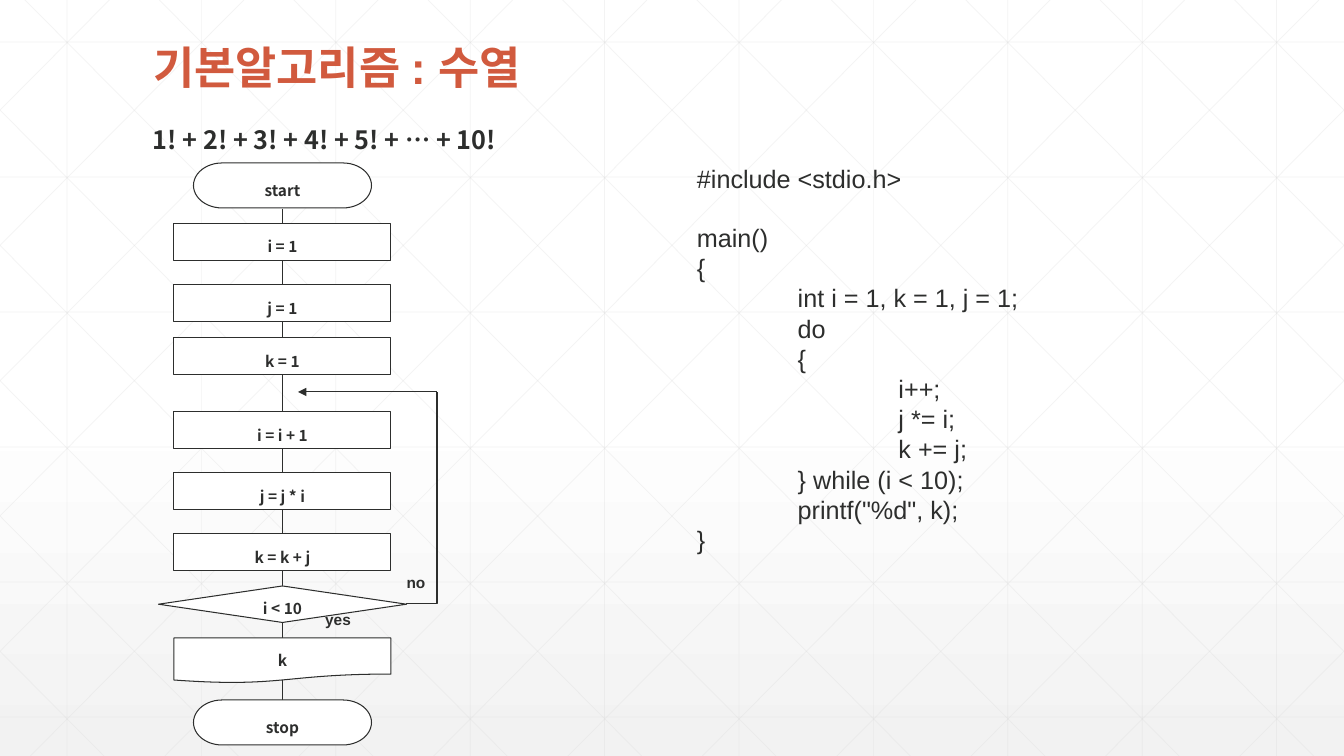
from pptx import Presentation
from pptx import util as u
from pptx.dml.color import RGBColor
from pptx.enum import shapes, text
from pptx.oxml.ns import qn
from lxml import etree

PX = 914400 / 100.8
W, H = 1344, 756
INK, GRID, ACCENT = "2D2E2D", "D9D9D9", "D15A3E"
SANS, KOREAN = "Arial", "Noto Sans CJK KR"
MSO = shapes.MSO_SHAPE
CENTER = text.PP_ALIGN.CENTER
MIDDLE = text.MSO_ANCHOR.MIDDLE


def px(*values):
    """Turn pixel lengths into EMU."""
    return [u.Emu(round(v * PX)) for v in values]


def rgb(code):
    """Turn a hex string into a colour."""
    return RGBColor.from_string(code)


def write(p, string, size=18, font=SANS, color=INK, bold=False, align=None,
          spacing=None, before=0, indent=0):
    """Put formatted text into a paragraph."""
    r = p.add_run()
    r.text = string
    r.font.size, r.font.name, r.font.bold = u.Pt(size), font, bold
    r.font.color.rgb = rgb(color)
    etree.SubElement(r._r.rPr, qn("a:ea"), typeface=KOREAN)
    p.alignment, p.line_spacing, p.space_before = align, spacing, u.Pt(before)
    p._p.get_or_add_pPr().set("marL", str(px(indent)[0]))


def connect(x1, y1, x2, y2, color=INK, width=0.75, alpha=None, arrow=False,
            kind=shapes.MSO_CONNECTOR.STRAIGHT):
    """Draw a connector without a shadow."""
    c = s.shapes.add_connector(kind, *px(x1, y1, x2, y2))
    c.line.color.rgb, c.line.width = rgb(color), u.Pt(width)
    ln = c.line._get_or_add_ln()
    if alpha:
        etree.SubElement(ln.find(".//" + qn("a:srgbClr")), qn("a:alpha"),
                         val=str(alpha * 1000))
    if arrow:
        etree.SubElement(ln, qn("a:tailEnd"), type="triangle")
    etree.SubElement(c._element.spPr, qn("a:effectLst"))
    return c


prs = Presentation()
prs.slide_width, prs.slide_height = px(W, H)
s = prs.slides.add_slide(prs.slide_layouts[5])

# Background
fill = s.background.fill
fill.gradient()
fill.gradient_angle = 270
for stop, (position, color) in zip(fill.gradient_stops,
                                   [(0.53, "FFFFFF"), (1, "F2F2F2")]):
    stop.position, stop.color.rgb = position, rgb(color)

faint = dict(color=GRID, width=0.5, alpha=30)
step, run = 134.4, 751
for i in range(10):
    connect(67 + i * step, 0, 67 + i * step, H, **faint)
for i in range(6):
    connect(0, 42 + i * 135, W, 42 + i * 135, **faint)
for i in range(-5, 10):
    x = 25 + i * step
    x1, x2 = max(x, 0), min(x + run, W)
    y1, y2 = [(v - x) * H / run for v in (x1, x2)]
    connect(x1, y1, x2, y2, **faint)
    connect(W - x1, y1, W - x2, y2, **faint)

# Title
title = s.shapes.title
s.shapes._spTree.append(title._element)
title.left, title.top, title.width, title.height = px(143, 39, 1058, 62)
tf = title.text_frame
tf.auto_size, tf.vertical_anchor = text.MSO_AUTO_SIZE.NONE, MIDDLE
write(tf.paragraphs[0], "기본알고리즘 : 수열", size=32, color=ACCENT, bold=True,
      align=text.PP_ALIGN.LEFT, spacing=0.9)

# Formula
tf = s.shapes.add_textbox(*px(143, 104, 1058, 56)).text_frame
tf.word_wrap = True
write(tf.paragraphs[0], "1! + 2! + 3! + 4! + 5! + … + 10!", font=KOREAN,
      bold=True, spacing=1.5, before=3.6)

# Program: indent level, line, space before
code = [(0, "#include <stdio.h>", 0), (0, "main()", 20.7), (0, "{", 0),
        (1, "int i = 1, k = 1, j = 1;", 0), (1, "do", 0), (1, "{", 0),
        (2, "i++;", 0), (2, "j *= i;", 0), (2, "k += j;", 0),
        (1, "} while (i < 10);", 0), (1, 'printf("%d", k);', 0), (0, "}", 0)]
tf = s.shapes.add_textbox(*px(687, 158, 672, 407)).text_frame
tf.word_wrap = True
for i, (level, line, before) in enumerate(code):
    p = tf.add_paragraph() if i else tf.paragraphs[0]
    write(p, line, before=before, indent=level * 100.8)

# Flowchart
axis = 282.5
connect(axis, 209, axis, 700)
terminator = (MSO.FLOWCHART_TERMINATOR, 178, 45)
process = (MSO.RECTANGLE, 217, 36.5)
decision = (MSO.DIAMOND, 248, 36.5)
document = (MSO.FLOWCHART_DOCUMENT, 217, 45)
steps = [("start", 163, terminator), ("i = 1", 224, process),
         ("j = 1", 285, process), ("k = 1", 338, process),
         ("i = i + 1", 412, process), ("j = j * i", 473, process),
         ("k = k + j", 534, process), ("i < 10", 586, decision),
         ("k", 638, document), ("stop", 700, terminator)]
for label, y, (kind, w, h) in steps:
    sp = s.shapes.add_shape(kind, *px(axis - w / 2, y, w, h))
    sp.shadow.inherit = False
    sp.fill.solid()
    sp.fill.fore_color.rgb = rgb("FFFFFF")
    sp.line.color.rgb, sp.line.width = rgb(INK), u.Pt(0.75)
    tf = sp.text_frame
    tf.margin_left = tf.margin_top = tf.margin_right = tf.margin_bottom = 0
    tf.vertical_anchor = MIDDLE
    write(tf.paragraphs[0], label, size=11, font=KOREAN, bold=True,
          align=CENTER, spacing=1.5, before=2.2)

# Loop back
loop = connect(406, 604, 437, 392, kind=shapes.MSO_CONNECTOR.ELBOW)
loop._element.spPr.find(qn("a:prstGeom")).set("prst", "bentConnector2")
connect(437, 392, 298, 392, arrow=True)
for label, x, y, w in [("yes", 311, 605, 54), ("no", 392, 568, 48)]:
    tf = s.shapes.add_textbox(*px(x, y, w, 32)).text_frame
    tf.word_wrap = False
    write(tf.paragraphs[0], label, size=11, bold=True, align=CENTER)

prs.save("out.pptx")
